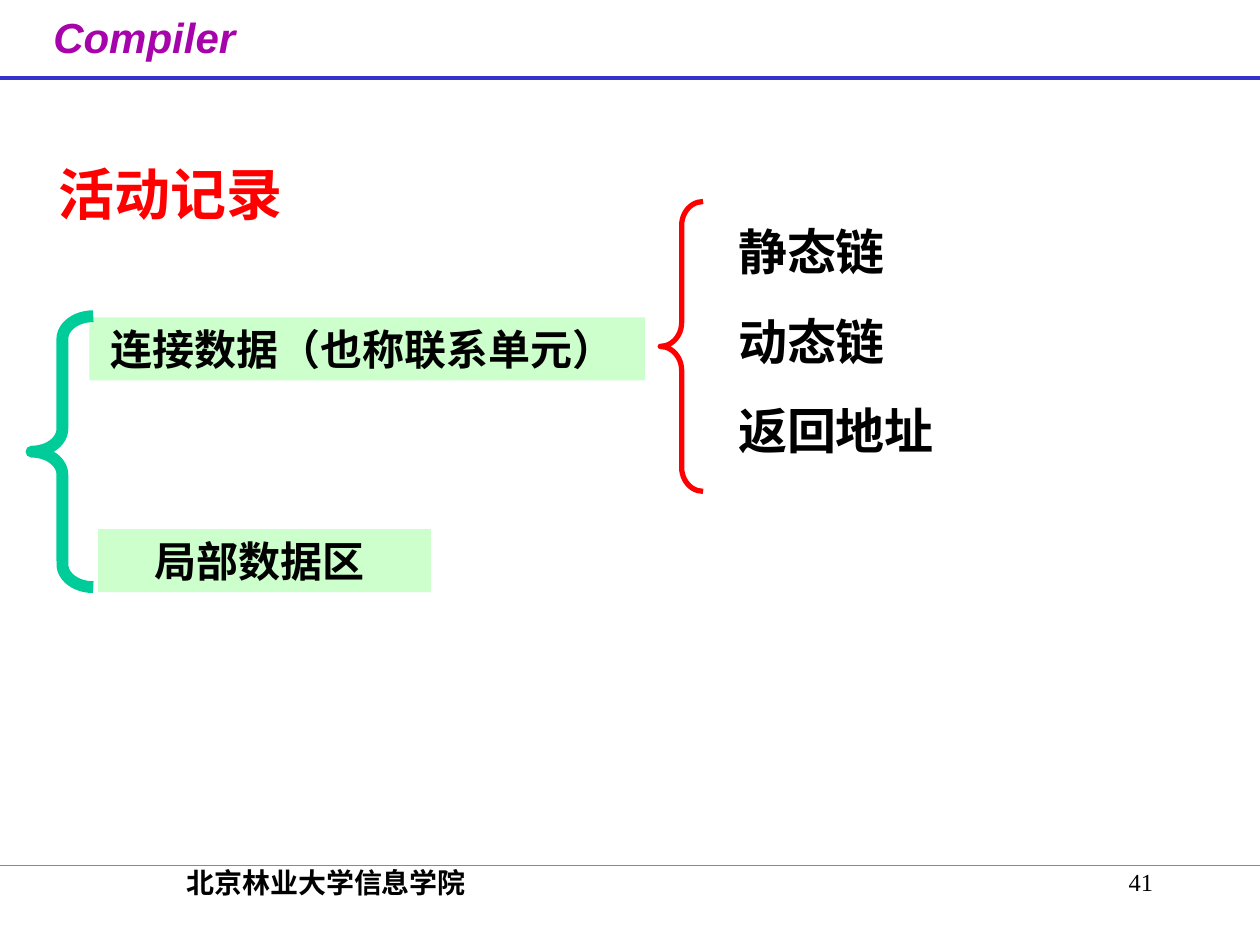
from lxml import etree
from pptx import Presentation
from pptx.dml.color import RGBColor
from pptx.enum.shapes import MSO_CONNECTOR, MSO_SHAPE
from pptx.enum.text import PP_ALIGN
from pptx.oxml.ns import qn
from pptx.util import Inches, Pt

LEFT, CENTER, RIGHT, JUSTIFY = PP_ALIGN.LEFT, PP_ALIGN.CENTER, PP_ALIGN.RIGHT, PP_ALIGN.JUSTIFY
RECTANGLE, LEFT_BRACE = MSO_SHAPE.RECTANGLE, MSO_SHAPE.LEFT_BRACE
STRAIGHT = MSO_CONNECTOR.STRAIGHT
WIDTH, HEIGHT = 10, 7.5
SERIF, SANS, CHINESE = "Times New Roman", "Arial", "Noto Sans CJK SC"
BLACK, RED, TEAL, PALE_GREEN = "000000", "FF0000", "00CC99", "CCFFCC"

TEXTS = [
    (["41"], (7.17, 6.83, 2.08, 0.5), RIGHT, BLACK, {"name": SERIF, "size": Pt(14)}),
    (["Compiler"], (0.19, 0.04, 1.91, 0.62), CENTER, "A603AB",
     {"name": SANS, "size": Pt(24), "bold": True, "italic": True}),
    (["北京林业大学信息学院"], (0.52, 6.82, 4.14, 0.5), CENTER, BLACK,
     {"name": SERIF, "size": Pt(16), "bold": True}),
    (["活动记录"], (0.37, 1.22, 5.1, 0.53), JUSTIFY, RED,
     {"name": SERIF, "size": Pt(32), "bold": True}),
    (["静态链", "动态链", "返回地址"], (5.76, 1.71, 2.64, 1.99), LEFT, BLACK,
     {"name": CHINESE, "size": Pt(28), "bold": True}),
]
RECORD_PARTS = [
    ("连接数据（也称联系单元） ", (0.71, 2.52, 4.41, 0.5)),
    ("局部数据区 ", (0.78, 4.2, 2.64, 0.5)),
]
BRACES = [
    ((0.25, 2.51, 0.49, 2.15), TEAL, 6.75, 0.37),
    ((5.24, 1.6, 0.34, 2.3), RED, 3, 0.56),
]
RULES = [(0.62, "3333CC", 2.25), (6.87, TEAL, 0.75)]


def color(value):
    """Turn a hex string into a colour."""
    return RGBColor.from_string(value)


def write(shape, lines, alignment, hex_color, font_format):
    """Fill a shape with evenly formatted paragraphs."""
    frame = shape.text_frame
    frame.word_wrap = True
    frame.text = "\n".join(lines)
    for index, paragraph in enumerate(frame.paragraphs):
        paragraph.alignment = alignment
        paragraph.space_before = Pt(17.5 if index else 0)
        for run in paragraph.runs:
            run.font.color.rgb = color(hex_color)
            for name, value in font_format.items():
                setattr(run.font, name, value)


def add_rule(slide, y, hex_color, weight):
    """Draw a line across the whole slide."""
    rule = slide.shapes.add_connector(STRAIGHT, 0, Inches(y), Inches(WIDTH), Inches(y))
    rule.line.color.rgb = color(hex_color)
    rule.line.width = Pt(weight)
    etree.SubElement(rule._element.spPr, qn("a:effectLst"))


def add_part(slide, label, box):
    """Add a filled label for one part of the record."""
    shape = slide.shapes.add_shape(RECTANGLE, *map(Inches, box))
    shape.shadow.inherit = False
    shape.fill.solid()
    shape.fill.fore_color.rgb = color(PALE_GREEN)
    shape.line.fill.background()
    write(shape, [label], CENTER, BLACK, {"name": SERIF, "size": Pt(24), "bold": True})


def add_brace(slide, box, hex_color, weight, curve):
    """Add an open brace that groups the parts to its right."""
    brace = slide.shapes.add_shape(LEFT_BRACE, *map(Inches, box))
    brace.shadow.inherit = False
    brace.adjustments[0] = curve
    brace.fill.background()
    brace.line.color.rgb = color(hex_color)
    brace.line.width = Pt(weight)


def main():
    """Build and save the slide."""
    presentation = Presentation()
    presentation.slide_width, presentation.slide_height = Inches(WIDTH), Inches(HEIGHT)
    slide = presentation.slides.add_slide(presentation.slide_layouts[6])
    for rule in RULES:
        add_rule(slide, *rule)
    for part in RECORD_PARTS:
        add_part(slide, *part)
    for brace in BRACES:
        add_brace(slide, *brace)
    for lines, box, alignment, hex_color, font_format in TEXTS:
        text_box = slide.shapes.add_textbox(*map(Inches, box))
        write(text_box, lines, alignment, hex_color, font_format)
    presentation.save("out.pptx")


if __name__ == "__main__":
    main()
